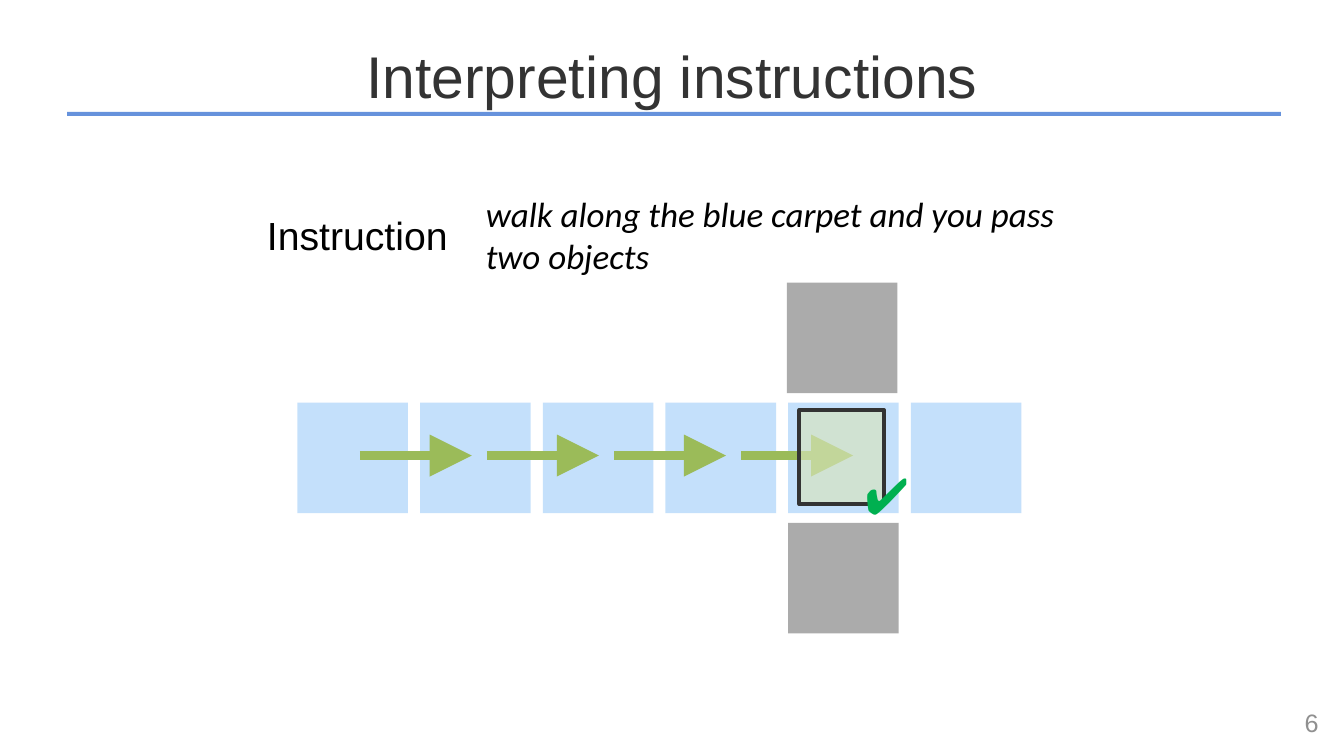
from lxml import etree
from pptx import Presentation
from pptx.dml.color import RGBColor
from pptx.enum import shapes, text
from pptx.oxml.ns import qn
from pptx.util import Pt

THEME = {
    "rule": "6692DC", "title": "333333", "ink": "000000", "number": "909090",
    "carpet": "A6D1FA", "object": "808080", "step": "9BBB59",
    "goal": "D7E4BD", "goal_line": "333333", "check": "00B050",
    "title_size": 42, "label_size": 28, "quote_size": 25,
    "number_size": 18, "check_size": 36,
    "sans": "Arial", "body": "Calibri", "opacity": 66,
}
ALIGN, ANCHOR = text.PP_ALIGN, text.MSO_ANCHOR
WIDE, TIGHT = (7.2, 3.6), (4.32, 4.32)

TEXTS = [
    (["Interpreting instructions"], (0, 25.2, 960, 56.2), ALIGN.CENTER, WIDE, True,
     {"name": "sans", "size": "title_size", "color": "title"}),
    (["Instruction"], (185, 146.9, 140.4, 41.8), ALIGN.CENTER, TIGHT, False,
     {"name": "sans", "size": "label_size", "color": "ink"}),
    (["walk along the blue carpet and you pass", "two objects"],
     (342.7, 133.2, 416.2, 68.4), ALIGN.LEFT, TIGHT, True,
     {"name": "body", "size": "quote_size", "color": "ink", "italic": True}),
    (["6"], (725, 501.8, 223.9, 28.8), ALIGN.RIGHT, WIDE, True,
     {"name": "sans", "size": "number_size", "color": "number"}),
]
CHECK = (["✔"], (613.4, 329, 34.6, 48.2), ALIGN.CENTER, TIGHT, False,
         {"name": "body", "size": "check_size", "color": "check"})

TILE = 79
CARPET = {"left": 212.4, "top": 287.6, "pitch": 87.65, "count": 6}
OBJECTS = [(562, 201.8), (563, 373.5)]
STEPS = {"left": 257, "y": 325.4, "length": 80, "pitch": 90.8, "count": 4}
GOAL = (571, 293, 60.5, 67)


def color(name):
    return RGBColor.from_string(THEME[name])


def add_rect(page, place, fill, opacity=100, line=None):
    shape = page.shapes.add_shape(shapes.MSO_SHAPE.RECTANGLE, *map(Pt, place))
    shape.shadow.inherit = False
    shape.fill.solid()
    shape.fill.fore_color.rgb = color(fill)
    if opacity < 100:
        tint = shape.fill._xPr.find(qn("a:solidFill"))[0]
        etree.SubElement(tint, qn("a:alpha"), val=str(opacity * 1000))
    if line:
        shape.line.color.rgb = color(line)
        shape.line.width = Pt(3)
    else:
        shape.line.fill.background()


def add_text(page, lines, place, align, insets, wrap, font):
    box = page.shapes.add_textbox(*map(Pt, place))
    across, down = map(Pt, insets)
    frame = {"word_wrap": wrap, "vertical_anchor": ANCHOR.MIDDLE,
             "margin_left": across, "margin_right": across,
             "margin_top": down, "margin_bottom": down}
    for key, value in frame.items():
        setattr(box.text_frame, key, value)
    style = {"name": THEME[font["name"]], "size": Pt(THEME[font["size"]]),
             "italic": font.get("italic", False)}
    for index, line in enumerate(lines):
        para = box.text_frame.add_paragraph() if index else box.text_frame.paragraphs[0]
        para.alignment = align
        span = para.add_run()
        span.text = line
        for key, value in style.items():
            setattr(span.font, key, value)
        span.font.color.rgb = color(font["color"])


def add_step(page, left, y, length):
    arrow = page.shapes.add_connector(
        shapes.MSO_CONNECTOR.STRAIGHT, Pt(left), Pt(y), Pt(left + length), Pt(y))
    arrow.line.color.rgb = color("step")
    arrow.line.width = Pt(6)
    etree.SubElement(arrow.line._get_or_add_ln(), qn("a:tailEnd"),
                     type="triangle", w="lg", len="lg")
    etree.SubElement(arrow._element.spPr, qn("a:effectLst"))


def main():
    deck = Presentation()
    deck.slide_width, deck.slide_height = Pt(960), Pt(540)
    page = deck.slides.add_slide(deck.slide_layouts[6])

    add_rect(page, (48, 80, 867, 2.9), "rule")
    for item in TEXTS:
        add_text(page, *item)

    for index in range(CARPET["count"]):
        left = CARPET["left"] + index * CARPET["pitch"]
        add_rect(page, (left, CARPET["top"], TILE, TILE), "carpet", THEME["opacity"])
    for left, top in OBJECTS:
        add_rect(page, (left, top, TILE, TILE), "object", THEME["opacity"])
    for index in range(STEPS["count"]):
        add_step(page, STEPS["left"] + index * STEPS["pitch"], STEPS["y"], STEPS["length"])

    add_rect(page, GOAL, "goal", THEME["opacity"], "goal_line")
    add_text(page, *CHECK)
    deck.save("out.pptx")


if __name__ == "__main__":
    main()
